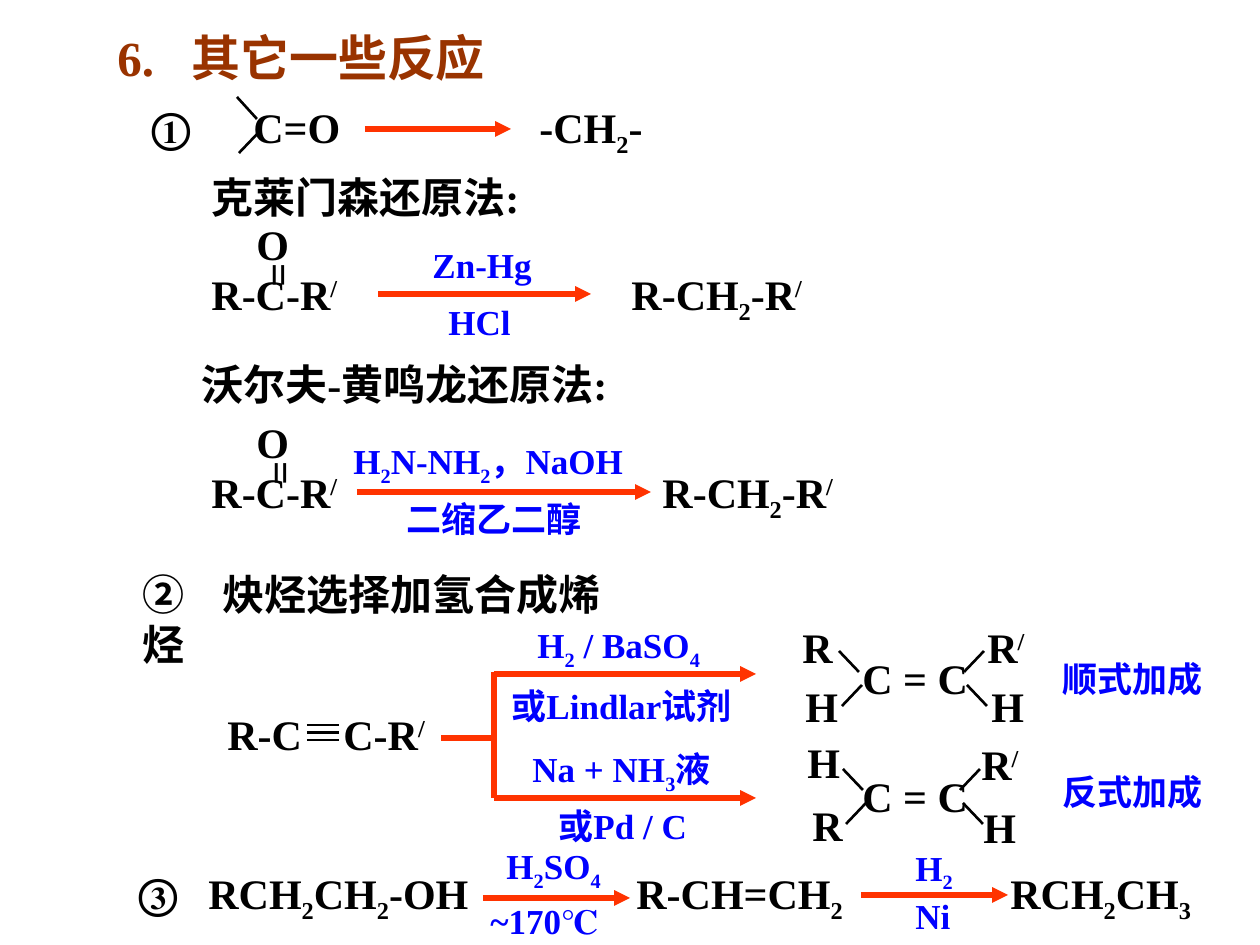
from lxml import etree
from pptx import Presentation
from pptx import util as u
from pptx.dml.color import RGBColor
from pptx.enum import shapes
from pptx.oxml import ns

PX = 914400 / 126
COLORS = {"title": "993300", "formula": "000000", "reagent": "0000FF", "arrow": "FF3300"}
BASELINES = {"_": "-25000", "^": "30000"}


def px(n):
    """Turn pixels into EMU."""
    return u.Emu(round(n * PX))


def label(slide, x, y, w, content, size=24, color="formula", h=63, tabs=(), vertical=False):
    """Add text whose pieces split at |, with _ for subscript and ^ for superscript."""
    tf = slide.shapes.add_textbox(px(x), px(y), px(w), px(h)).text_frame
    tf.word_wrap = True
    if vertical:
        tf._txBody.bodyPr.set("vert", "eaVert")
        tf.margin_left = tf.margin_right = u.Inches(0.05)
        tf.margin_top = tf.margin_bottom = u.Inches(0.1)
    p = tf.paragraphs[0]
    if tabs:
        stops = etree.SubElement(p._p.get_or_add_pPr(), ns.qn("a:tabLst"))
        for stop in tabs:
            etree.SubElement(stops, ns.qn("a:tab"), pos=str(px(stop)), algn="l")
    font = p.font
    font.name, font.size, font.bold = "Times New Roman", u.Pt(size), True
    font.color.rgb = RGBColor.from_string(COLORS[color])
    for piece in content.split("|"):
        r = p.add_run()
        r.text = piece.lstrip("_^")
        if piece[0] in BASELINES:
            r._r.get_or_add_rPr().set("baseline", BASELINES[piece[0]])


def reagent(slide, x, y, w, content):
    """Add a reaction condition."""
    label(slide, x, y, w, content, 20, "reagent", 55)


def line(slide, x1, y1, x2, y2, color="formula", width=1.5, head=False):
    """Add a straight line, with an arrowhead at its end if asked."""
    c = slide.shapes.add_connector(
        shapes.MSO_CONNECTOR.STRAIGHT, px(x1), px(y1), px(x2), px(y2))
    c.line.color.rgb = RGBColor.from_string(COLORS[color])
    c.line.width = u.Pt(width)
    if head:
        etree.SubElement(c.line._get_or_add_ln(), ns.qn("a:tailEnd"), type="triangle")
    etree.SubElement(c._element.spPr, ns.qn("a:effectLst"))


def arrow(slide, x, y, w):
    """Add a horizontal reaction arrow."""
    line(slide, x, y, x + w, y, "arrow", 3, True)


def overview(slide, x, y):
    """Place the general reduction of a carbonyl group."""
    label(slide, x, y, 570, "①\tC=O\t-CH|_2|-", tabs=(102, 388))
    line(slide, x + 98, y + 2, x + 118, y + 24)
    line(slide, x + 100, y + 58, x + 121, y + 36)
    arrow(slide, x + 226, y + 34, 146)


def reduction(slide, x, y, product, start, length, conditions, bond):
    """Place a ketone, its double bond, the arrow with conditions and the product."""
    label(slide, x, y, 735, "R-C-R|^/\tR-CH|_2|-R|^/".replace("^/\t", "^/|\t"), tabs=(product,))
    label(slide, x + bond, y - 11, 76, "=", h=42, vertical=True)
    label(slide, x + 45, y - 50, 60, "O")
    arrow(slide, x + start, y + 32, length)
    for dx, dy, w, content in conditions:
        reagent(slide, x + dx, y + dy, w, content)


def alkyne(slide, x, y):
    """Place the alkyne and the two branches of its hydrogenation."""
    label(slide, x, y, 273, "R-C\tC-R|^/", tabs=(116,))
    for i in range(3):
        dy = y + 23 + 7.5 * i
        line(slide, x + 92, dy, x + 124, dy)
    fork = x + 279
    line(slide, fork - 53, y + 36, fork, y + 36, "arrow", 3)
    line(slide, fork, y - 30, fork, y + 96, "arrow", 3)
    for dy in (-28, 96):
        arrow(slide, fork, y + dy, 262)
    for dx, dy, content in ((31, -85, "H|_2| / BaSO|_4"), (5, -24, "或Lindlar试剂"),
                            (26, 39, "Na + NH|_3|液"), (52, 96, "或Pd / C")):
        reagent(slide, fork + dx, y + dy, 273, content)


def alkene(slide, x, y, inset, corners, name, name_x, name_y):
    """Place an alkene with four substituents and the name of the addition."""
    for outer, inner in ((-11 + inset, 9 + inset), (134 - inset, 114 - inset)):
        line(slide, x + outer, y + 5, x + inner, y + 26)
        line(slide, x + outer + (3 if outer < 60 else 3), y + 60, x + inner + 3, y + 39)
    label(slide, x, y, 140, "C = C")
    for dx, dy, content in corners:
        label(slide, x + dx, y + dy, 68, content)
    reagent(slide, x + name_x, y + name_y, 175, name)


def dehydration(slide, x, y):
    """Place the alcohol, alkene and alkane sequence."""
    label(slide, x, y, 1134, "③\tRCH|_2|CH|_2|-OH\tR-CH=CH|_2|\tRCH|_2|CH|_3",
          tabs=(70, 498, 872))
    arrow(slide, x + 357, y + 37, 147)
    arrow(slide, x + 735, y + 34, 147)
    for dx, dy, w, content in ((368, -23, 130, "H|_2|SO|_4"), (352, 32, 145, "~170℃"),
                               (777, -21, 72, "H|_2"), (777, 27, 72, "Ni")):
        reagent(slide, x + dx, y + dy, w, content)


def main():
    """Build the slide of further reactions."""
    prs = Presentation()
    prs.slide_width, prs.slide_height = u.Inches(10), u.Inches(7.5)
    s = prs.slides.add_slide(prs.slide_layouts[6])
    label(s, 105, 21, 451, "6.\t其它一些反应", 28, "title", 72, (74,))
    overview(s, 139, 95)
    label(s, 199, 165, 388, "克莱门森还原法:")
    reduction(s, 199, 262, 420, 179, 213,
              ((221, -25, 135, "Zn-Hg"), (237, 32, 97, "HCl")), 38)
    label(s, 189, 352, 725, "沃尔夫-黄鸣龙还原法:")
    reduction(s, 199, 460, 451, 158, 294,
              ((142, -27, 330, "H|_2|N-NH|_2|，NaOH"), (195, 31, 210, "二缩乙二醇")), 40)
    label(s, 130, 562, 524, "②\t炔烃选择加氢合成烯烃", tabs=(80,))
    alkyne(s, 215, 702)
    alkene(s, 850, 646, 0,
           ((-60, -31, "R"), (-57, 28, "H"), (125, -31, "R|^/"), (129, 28, "H")),
           "顺式加成", 200, 5)
    alkene(s, 850, 764, 4,
           ((-55, -34, "H"), (-50, 29, "R"), (119, -32, "R|^/"), (121, 31, "H")),
           "反式加成", 200, 0)
    dehydration(s, 126, 861)
    prs.save("out.pptx")


if __name__ == "__main__":
    main()
